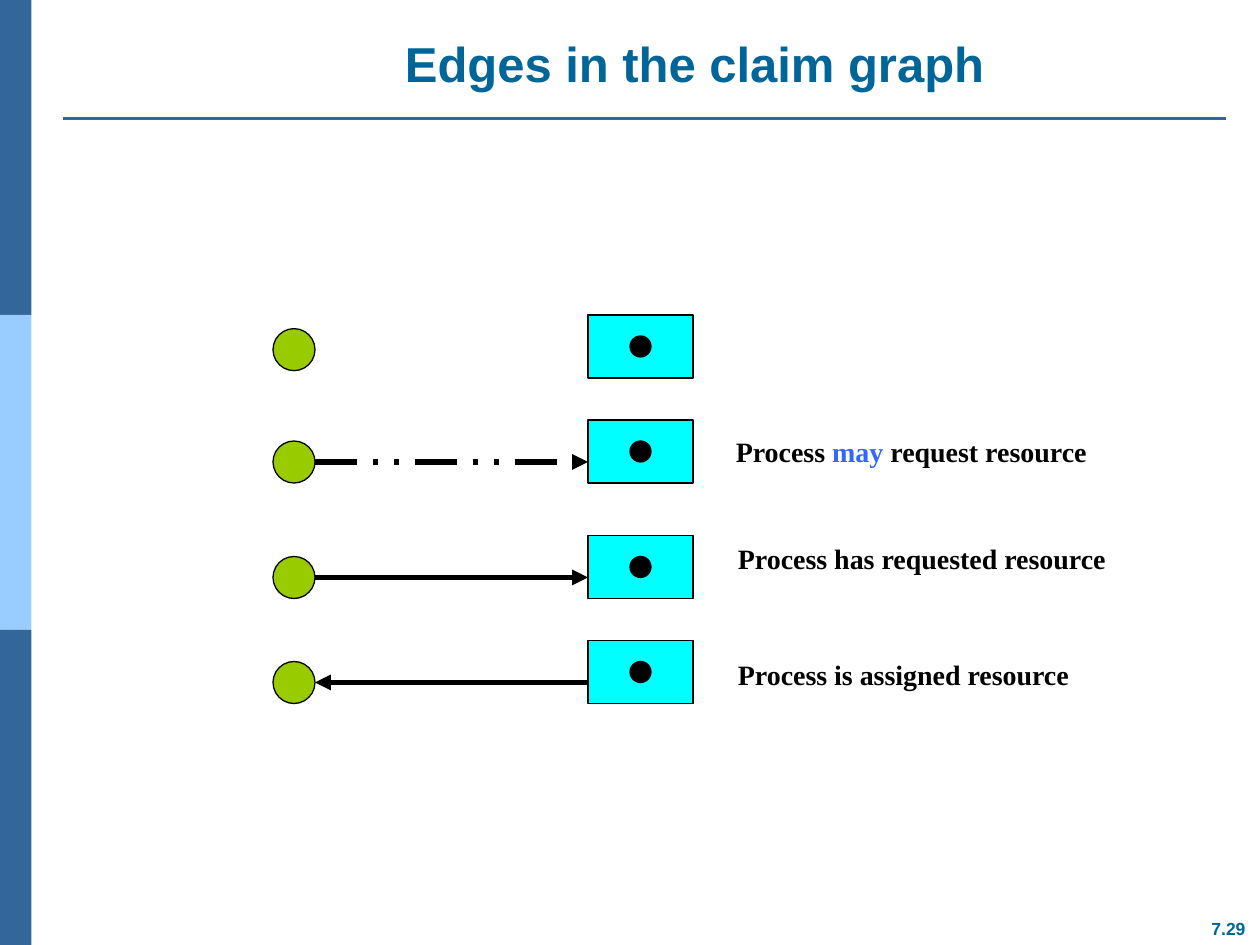
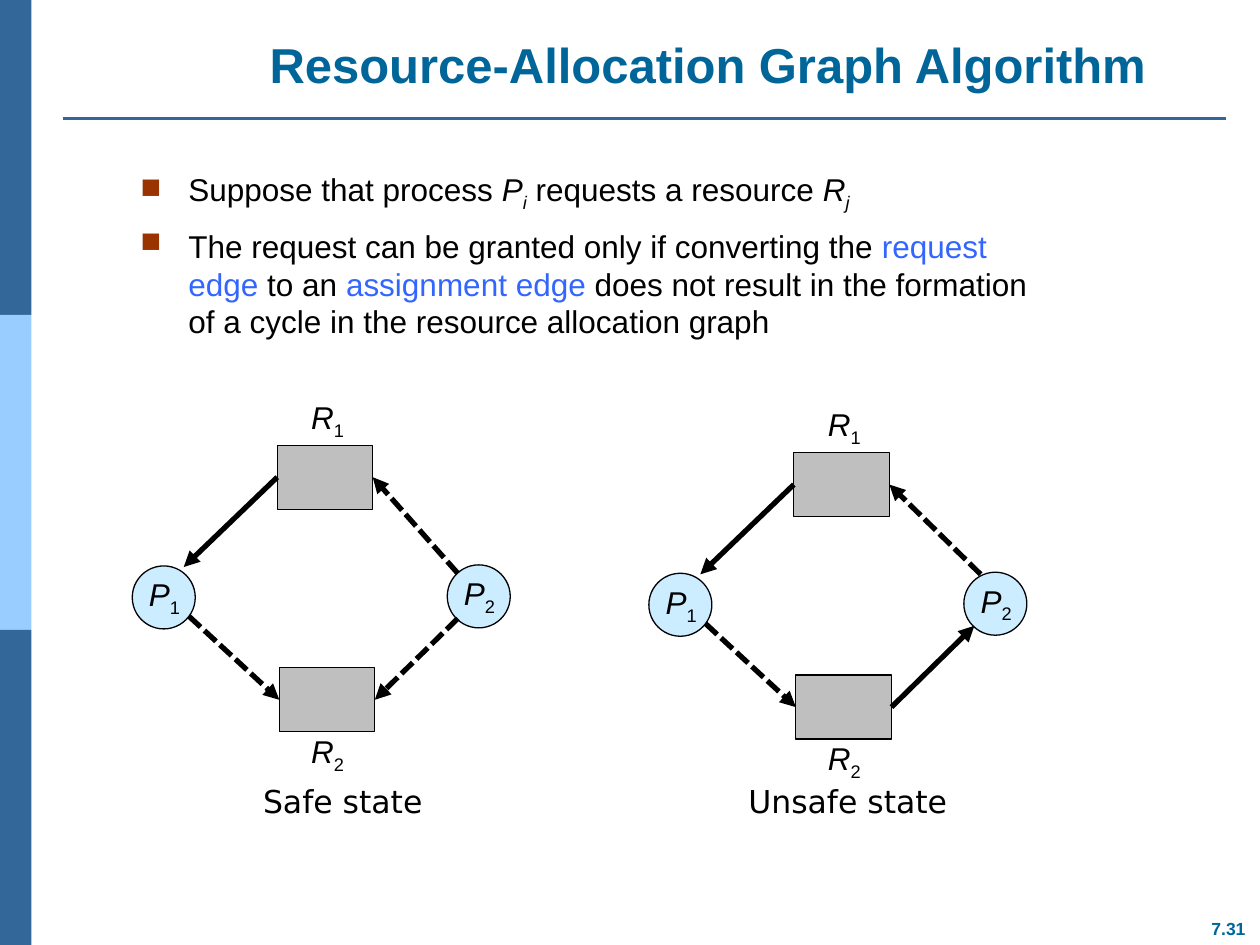
"""Build two slides on claim edges and the resource-allocation graph."""
import lxml.etree
import pptx
import pptx.dml.color
import pptx.enum.dml
import pptx.enum.shapes
import pptx.enum.text
import pptx.oxml.ns
import pptx.util

hue = pptx.dml.color.RGBColor.from_string
qn = pptx.oxml.ns.qn
RECT = pptx.enum.shapes.MSO_SHAPE.RECTANGLE
OVAL = pptx.enum.shapes.MSO_SHAPE.OVAL
LEFT = pptx.enum.text.PP_ALIGN.LEFT
MID = pptx.enum.text.PP_ALIGN.CENTER
TOP = pptx.enum.text.MSO_ANCHOR.TOP
LOW = pptx.enum.text.MSO_ANCHOR.BOTTOM
MAY = pptx.enum.dml.MSO_LINE.DASH_DOT_DOT
DASH = pptx.enum.dml.MSO_LINE.SQUARE_DOT
BLACK, BLUE, TEAL, NAVY, SKY = "000000", "3366FF", "006699", "336699", "99CCFF"

deck = pptx.Presentation()
deck.slide_width, deck.slide_height = pptx.util.Inches(10), pptx.util.Inches(7.5)
CELL = deck.slide_width / 120


def draw(slide, kind, box, fill, edge=BLACK):
    shape = slide.shapes.add_shape(kind, *[round(CELL * n) for n in box])
    shape.shadow.inherit = False
    shape.fill.solid()
    shape.fill.fore_color.rgb = hue(fill)
    if edge:
        shape.line.color.rgb = hue(edge)
        shape.line.width = pptx.util.Pt(0.75)
    else:
        shape.line.fill.background()
    return shape


def write(slide, box, *paras, size=18, font="Arial", color=BLACK, bold=False,
          align=LEFT, anchor=TOP, wrap=True, bullet=None):
    frame = slide.shapes.add_textbox(*[round(CELL * n) for n in box]).text_frame
    frame.word_wrap, frame.vertical_anchor = wrap, anchor
    for n, parts in enumerate(paras):
        para = frame.add_paragraph() if n else frame.paragraphs[0]
        para.alignment = align
        if bullet:
            para.space_before = pptx.util.Pt(7.9 if n else 0)
            props = para._p.get_or_add_pPr()
            props.set("marL", str(pptx.util.Inches(0.38)))
            props.set("indent", str(-pptx.util.Inches(0.38)))
            tint = lxml.etree.SubElement(props, qn("a:buClr"))
            lxml.etree.SubElement(tint, qn("a:srgbClr"), val="993300")
            lxml.etree.SubElement(props, qn("a:buSzPct"), val="90000")
            lxml.etree.SubElement(props, qn("a:buChar"), char=bullet)
        for text, look in [(parts, "")] if isinstance(parts, str) else parts:
            run = para.add_run()
            run.text = text
            run.font.size, run.font.name = pptx.util.Pt(size), font
            run.font.bold, run.font.italic = bold, "i" in look
            run.font.color.rgb = hue(BLUE if "b" in look else color)
            if "s" in look:
                run._r.get_or_add_rPr().set("baseline", "-25000")


slides, links = [], []
for title, box, anchor, page in [
        ("Edges in the claim graph", (14.8, 2.6, 102.7, 7.6), TOP, "7.29"),
        ("Resource-Allocation Graph Algorithm", (17.2, 1.9, 100.4, 7.6), LOW, "7.31")]:
    slide = deck.slides.add_slide(deck.slide_layouts[6])
    for n, fill in enumerate([NAVY, SKY, NAVY]):
        draw(slide, RECT, (0, 30 * n, 3, 30), fill, None)
    links.append((slide, (6, 11.28), (116.8, 11.28), NAVY, None, None, None))
    write(slide, box, title, size=28, color=TEAL, bold=True, align=MID, anchor=anchor)
    write(slide, (111.1, 86.8, 11.8, 3.2), page, size=10, color=TEAL, bold=True,
          align=MID, wrap=False)
    slides.append(slide)
claim, graph = slides

for top, disc in [(30, 31.3), (40, 42), (51, 53), (61, 63)]:
    draw(claim, OVAL, (26, disc, 4, 4), "99CC00")
    draw(claim, RECT, (56, top, 10, 6), "00FFFF")
    draw(claim, OVAL, (60, top + 2, 2, 2), BLACK)

for row, start, end, dash in [(44, 30, 56, MAY), (55, 30, 56, None), (65, 56, 30, None)]:
    links.append((claim, (start, row), (end, row), BLACK, dash, None, None))

for box, parts in [
        ((68.9, 40.8, 36, 4.4), [("Process ", ""), ("may", "b"), (" request resource", "")]),
        ((69.1, 51, 37.6, 4.4), "Process has requested resource"),
        ((69.1, 62, 34.1, 4.4), "Process is assigned resource")]:
    write(claim, box, parts, size=16, font="Times New Roman", bold=True, wrap=False)

write(graph, (12.2, 15.6, 87.2, 56.5),
      [("Suppose that process", ""), (" P", "i"), ("i", "is"),
       (" requests a resource ", ""), ("R", "i"), ("j", "is")],
      [("The request can be granted only if converting the ", ""),
       ("request edge ", "b"), ("to an ", ""), ("assignment edge ", "b"),
       ("does not result in the formation of a cycle in the resource allocation graph", "")],
      bullet="■")

for state, left, dx, dy, upper in [
        ("Safe state", 20.9, 0, 0, (43.6, 54.6)),
        ("Unsafe state", 69, 49.2, 0.7, (44.2, 54))]:
    nodes = []
    for kind, x, y, wide, high, fill in [
            (RECT, 26.4, 42.4, 9.1, 6.1, "BFBFBF"), (RECT, 26.6, 63.6, 9.1, 6.1, "BFBFBF"),
            (OVAL, 12.6, 53.9, 6, 6, "CCECFF"), (OVAL, 42.6, 53.8, 6, 6, "CCECFF")]:
        nodes.append(draw(graph, kind, (x + dx, y + dy, wide, high), fill))
    first, second = nodes[:2]
    for name, sub, x, y, wide, align in [
            ("R", "1", 26.8, 37.3, 8.8, MID), ("R", "2", 26.8, 69.1, 8.8, MID),
            ("P", "1", 13, 54.2, 6.4, LEFT), ("P", "2", 43, 54.1, 6.4, LEFT)]:
        write(graph, (x + dx, y + dy, wide, 5.3), [(name, "i"), (sub, "s")], align=align)
    corner = (second, 3)
    last = (None, corner, DASH) if state == "Safe state" else (corner, None, None)
    for (x, y), begin, end, dash in [
            ((17.5, 54), (first, 1), None, None),
            ((18, 58.7), None, (second, 1), DASH),
            (upper, None, (first, 3), DASH),
            ((43.6, 58.9), *last)]:
        spot = (x + dx, y + dy)
        links.append((graph, spot, spot, BLACK, dash, begin, end))
    write(graph, (left, 73.9, 23.5, 4.8), state, font="DejaVu Sans", align=MID)

for slide, start, end, color, dash, begin, finish in links:
    line = slide.shapes.add_connector(pptx.enum.shapes.MSO_CONNECTOR.STRAIGHT,
                                      *[round(CELL * n) for n in start + end])
    if begin:
        line.begin_connect(*begin)
    if finish:
        line.end_connect(*finish)
    line.line.color.rgb = hue(color)
    line.line.width = pptx.util.Pt(3 if color == BLACK else 1.5)
    if dash:
        line.line.dash_style = dash
    props = line._element.spPr
    if color == BLACK:
        lxml.etree.SubElement(props.find(qn("a:ln")), qn("a:tailEnd"), type="triangle")
    lxml.etree.SubElement(props, qn("a:effectLst"))

deck.save("out.pptx")
